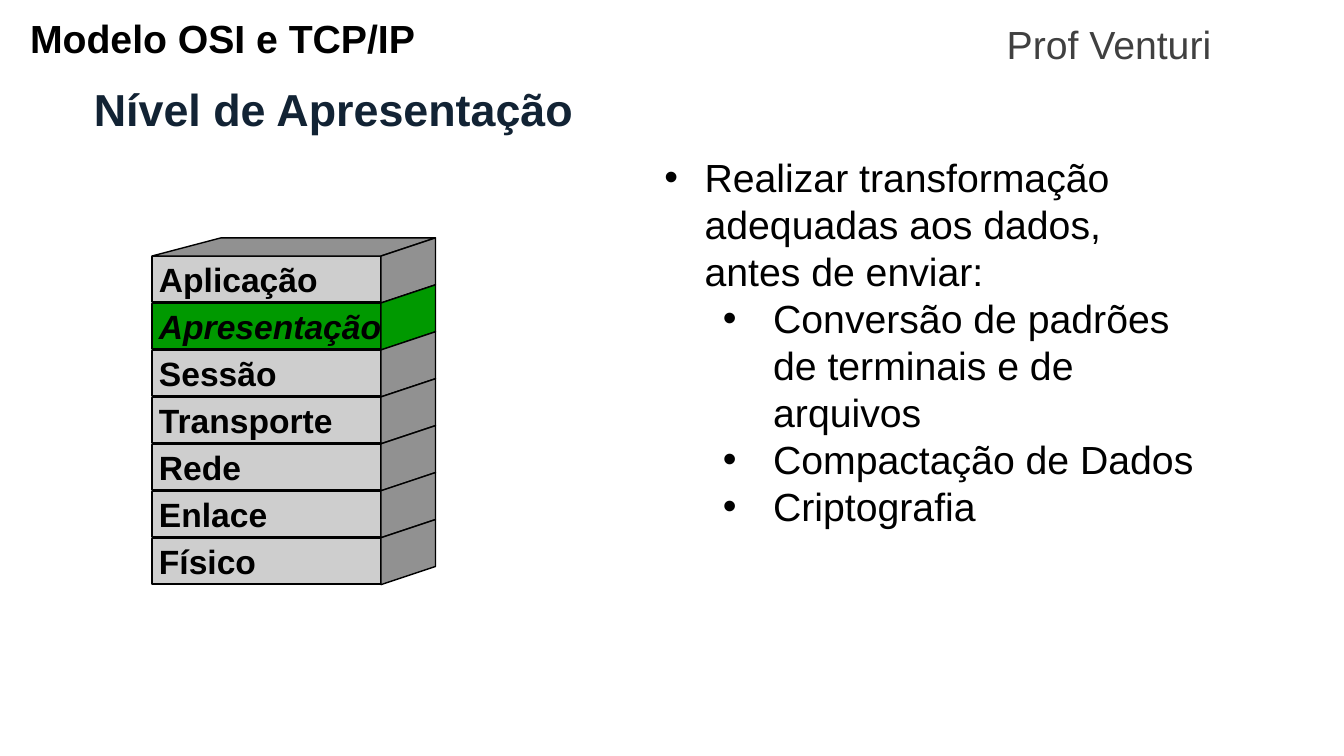
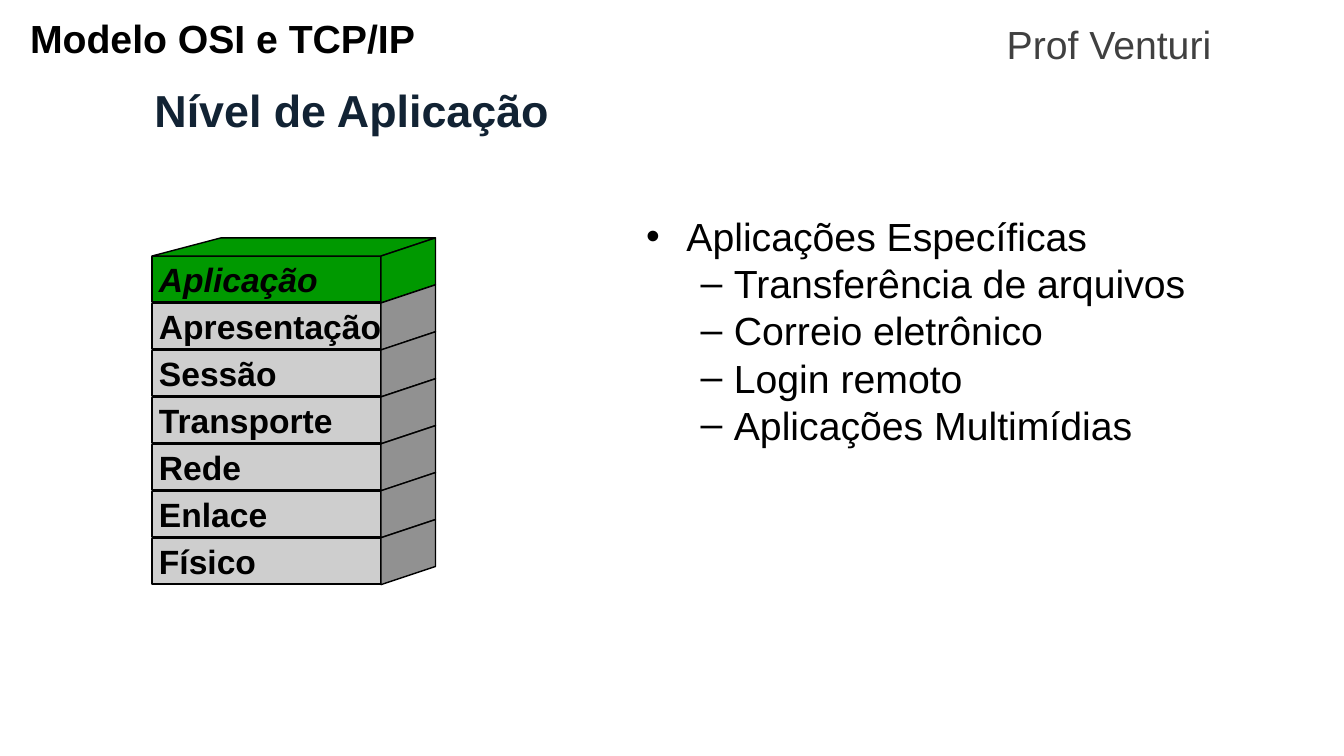
from dataclasses import dataclass

from lxml import etree
from pptx import Presentation
from pptx import util as u
from pptx.dml.color import RGBColor
from pptx.enum import shapes, text
from pptx.oxml.ns import qn

WIDE, HIGH = u.Inches(13.33), u.Inches(7.5)
FONT = "Arial"
BLACK, GREY, NAVY = "000000", "404040", "122334"
FRONT, SIDE, GREEN = "CECECE", "919191", "009900"
LAYERS = ["Aplicação", "Apresentação", "Sessão", "Transporte",
          "Rede", "Enlace", "Físico"]

LEFT, BACK, EDGE, FAR = 11.3, 16.43, 28.35, 32.4
ROOF, TOP, STEP, TALL = 31.47, 33.87, 6.21, 6.0


@dataclass(frozen=True)
class Box:
    x: float
    y: float
    w: float
    h: float


@dataclass(frozen=True)
class Style:
    size: int
    hue: str = BLACK
    bold: bool = False
    slant: bool = False


@dataclass(frozen=True)
class Mark:
    sign: str
    level: int
    left: float
    hang: float


@dataclass(frozen=True)
class Item:
    words: str
    mark: Mark


@dataclass(frozen=True)
class Page:
    title: str
    head: Box
    body: Box
    items: list[Item]
    active: int


HEAD = Style(28, bold=True)
PROF = Style(28, GREY)
TITLE = Style(32, NAVY, True)
BODY = Style(28)
MAIN = Mark("•", 0, 3, 3)
DOT = Mark("•", 2, 8.1, 3.75)
DASH = Mark("–", 1, 6.53, 2.48)

PAGES = [
    Page("Nível de Apresentação", Box(2.33, 10.53, 45, 7.73),
         Box(48.69, 19.6, 41.49, 44.67),
         [Item("Realizar transformação adequadas aos dados, antes de enviar:", MAIN),
          Item("Conversão de padrões de terminais e de arquivos", DOT),
          Item("Compactação de Dados", DOT),
          Item("Criptografia", DOT)], 1),
    Page("Nível de Aplicação", Box(3.68, 10.67, 45, 7.73),
         Box(47.34, 27.47, 48.39, 31.33),
         [Item("Aplicações Específicas", MAIN),
          Item("Transferência de arquivos", DASH),
          Item("Correio eletrônico", DASH),
          Item("Login remoto", DASH),
          Item("Aplicações Multimídias", DASH)], 0),
]


def tint(hue: str) -> RGBColor:
    return RGBColor.from_string(hue)


def across(share: float) -> int:
    return round(WIDE * share / 100)


def down(share: float) -> int:
    return round(HIGH * share / 100)


def place(box: Box) -> tuple[int, int, int, int]:
    return across(box.x), down(box.y), across(box.w), down(box.h)


def write(par, words: str, style: Style) -> None:
    run = par.add_run()
    run.text = words
    font = run.font
    font.name, font.size = FONT, u.Pt(style.size)
    font.bold, font.italic = style.bold, style.slant
    font.color.rgb = tint(style.hue)


def frame(slide, box: Box):
    area = slide.shapes.add_textbox(*place(box)).text_frame
    area.word_wrap = True
    return area


def line(slide, box: Box, words: str, style: Style,
         align=text.PP_ALIGN.LEFT, space: float = 1.0,
         anchor=text.MSO_ANCHOR.TOP) -> None:
    area = frame(slide, box)
    area.vertical_anchor = anchor
    par = area.paragraphs[0]
    par.alignment, par.line_spacing = align, space
    write(par, words, style)


def bullet(par, mark: Mark) -> None:
    par.level = mark.level
    props = par._p.get_or_add_pPr()
    props.set("marL", str(across(mark.left)))
    props.set("indent", str(-across(mark.hang)))
    color = etree.SubElement(props, qn("a:buClr"))
    etree.SubElement(color, qn("a:srgbClr"), val=BLACK)
    etree.SubElement(props, qn("a:buFont"), typeface=FONT)
    etree.SubElement(props, qn("a:buChar"), char=mark.sign)


def listing(slide, box: Box, items: list[Item]) -> None:
    area = frame(slide, box)
    for num, item in enumerate(items):
        par = area.add_paragraph() if num else area.paragraphs[0]
        bullet(par, item.mark)
        write(par, item.words, BODY)


def paint(shape, hue: str) -> None:
    shape.shadow.inherit = False
    shape.fill.solid()
    shape.fill.fore_color.rgb = tint(hue)
    shape.line.color.rgb = tint(BLACK)
    shape.line.width = u.Pt(1)


def face(slide, spots: list[tuple[float, float]], hue: str) -> None:
    first, *rest = [(across(x), down(y)) for x, y in spots]
    pen = slide.shapes.build_freeform(*first, scale=1.0)
    pen.add_line_segments(rest, close=True)
    paint(pen.convert_to_shape(), hue)


def layer(slide, words: str, row: int, active: bool) -> None:
    box = Box(LEFT, TOP + 0.1 + row * STEP, EDGE - LEFT, TALL)
    shape = slide.shapes.add_shape(shapes.MSO_SHAPE.RECTANGLE, *place(box))
    paint(shape, GREEN if active else FRONT)
    area = shape.text_frame
    area.word_wrap = False
    area.vertical_anchor = text.MSO_ANCHOR.MIDDLE
    area.margin_left = area.margin_right = u.Inches(0.07)
    area.margin_top = area.margin_bottom = u.Inches(0.03)
    par = area.paragraphs[0]
    par.alignment = text.PP_ALIGN.LEFT
    write(par, words, Style(24, bold=True, slant=active))


def tower(slide, active: int) -> None:
    for row, words in enumerate(LAYERS):
        layer(slide, words, row, row == active)
    face(slide, [(LEFT, TOP), (BACK, ROOF), (FAR, ROOF), (EDGE, TOP)],
         SIDE if active else GREEN)
    for row in range(len(LAYERS)):
        near, rear = TOP + row * STEP, ROOF + row * STEP
        face(slide, [(EDGE, near), (FAR, rear), (FAR, rear + STEP),
                     (EDGE, near + STEP)], GREEN if row == active else SIDE)


def header(slide) -> None:
    line(slide, Box(1.5, 2, 38.03, 8.13), "Modelo OSI e TCP/IP", HEAD, space=0.9)
    line(slide, Box(69.84, 2, 25.36, 6.67), "Prof Venturi", PROF,
         text.PP_ALIGN.CENTER)


def build(deck, page: Page) -> None:
    slide = deck.slides.add_slide(deck.slide_layouts[6])
    header(slide)
    line(slide, page.head, page.title, TITLE, text.PP_ALIGN.CENTER,
         anchor=text.MSO_ANCHOR.MIDDLE)
    listing(slide, page.body, page.items)
    tower(slide, page.active)


def main() -> None:
    deck = Presentation()
    deck.slide_width, deck.slide_height = WIDE, HIGH
    for page in PAGES:
        build(deck, page)
    deck.save("out.pptx")


if __name__ == "__main__":
    main()
